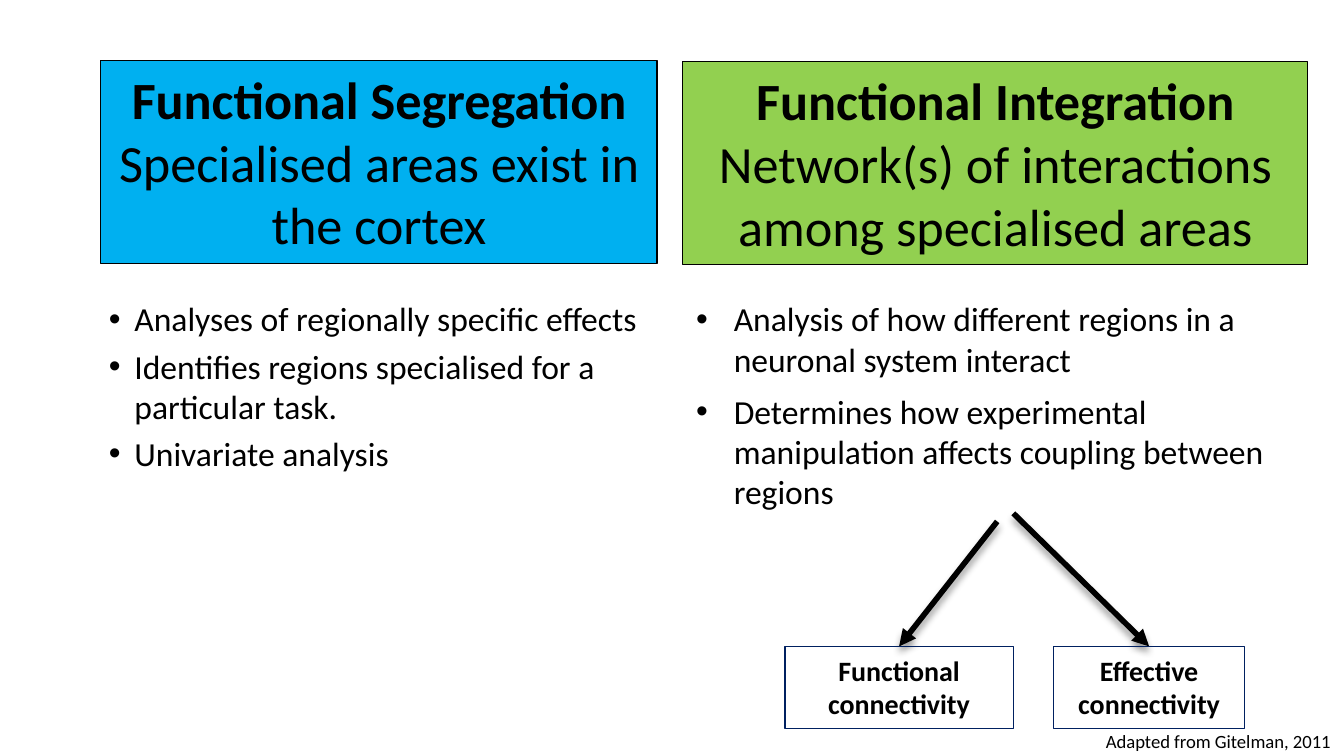
import pptx
import pptx.dml.color
import pptx.enum.shapes
import pptx.enum.text
import pptx.oxml
import pptx.oxml.ns
import pptx.util
from lxml import etree

RGBColor = pptx.dml.color.RGBColor
BLACK = RGBColor(0x00, 0x00, 0x00)
SKY = RGBColor(0x00, 0xB0, 0xF0)
GREEN = RGBColor(0x92, 0xD0, 0x50)
NAVY = RGBColor(0x00, 0x20, 0x60)

WIDTH = 10
HEIGHT = WIDTH * 9 / 16
LEFT_COLUMN, RIGHT_COLUMN = 0.75, 5.08
BULLET_ROW, OUTCOME_ROW = 2.18, 4.81
CENTER = pptx.enum.text.PP_ALIGN.CENTER

SHADOW = (
    '<a:effectLst %s><a:outerShdw blurRad="50800" dist="38100" dir="5400000" '
    'rotWithShape="0"><a:srgbClr val="000000"><a:alpha val="40000"/></a:srgbClr>'
    '</a:outerShdw></a:effectLst>' % pptx.oxml.ns.nsdecls("a"))


def inches(*lengths):
    return [pptx.util.Inches(length) for length in lengths]


def apply_format(target, values):
    for name, value in values.items():
        setattr(target, name, value)


def set_font(holder, size, bold=False):
    apply_format(holder.font, {"name": "Calibri", "size": pptx.util.Pt(size),
                               "bold": bold})
    holder.font.color.rgb = BLACK


def add_box(slide, place, lines, size, outline, fill=None):
    """Outlined rectangle; the first of its lines is bold."""
    box = slide.shapes.add_shape(
        pptx.enum.shapes.MSO_SHAPE.RECTANGLE, *inches(*place))
    box.shadow.inherit = False
    if fill is None:
        box.fill.background()
    else:
        box.fill.solid()
        box.fill.fore_color.rgb = fill
    box.line.color.rgb = outline
    box.line.width = pptx.util.Pt(0.75)
    frame = box.text_frame
    apply_format(frame, {"word_wrap": True,
                         "vertical_anchor": pptx.enum.text.MSO_ANCHOR.TOP})
    for index, line in enumerate(lines):
        paragraph = frame.paragraphs[0] if index == 0 else frame.add_paragraph()
        paragraph.alignment = CENTER
        run = paragraph.add_run()
        run.text = line
        set_font(run, size, bold=index == 0)


def add_bullets(slide, place, points, indent, gap):
    frame = slide.shapes.add_textbox(*inches(*place)).text_frame
    side, edge = inches(0.07, 0.04)
    apply_format(frame, {"word_wrap": True, "margin_left": side,
                         "margin_right": side, "margin_top": edge,
                         "margin_bottom": edge})
    hang = pptx.util.Inches(indent)
    for index, point in enumerate(points):
        paragraph = frame.paragraphs[0] if index == 0 else frame.add_paragraph()
        properties = paragraph._p.get_or_add_pPr()
        properties.set("marL", str(hang))
        properties.set("indent", str(-hang))
        for tag, key, value in (("a:buFont", "typeface", "Arial"),
                                ("a:buChar", "char", "•")):
            etree.SubElement(properties, pptx.oxml.ns.qn(tag)).set(key, value)
        if index:
            paragraph.space_before = pptx.util.Pt(gap)
        run = paragraph.add_run()
        run.text = point
        set_font(run, 18)


def add_arrow(slide, start, end):
    arrow = slide.shapes.add_connector(
        pptx.enum.shapes.MSO_CONNECTOR.STRAIGHT, *inches(*start, *end))
    arrow.line.color.rgb = BLACK
    arrow.line.width = pptx.util.Pt(3)
    outline = arrow.line._get_or_add_ln()
    etree.SubElement(outline, pptx.oxml.ns.qn("a:tailEnd")).set("type", "triangle")
    arrow._element.spPr.append(pptx.oxml.parse_xml(SHADOW))


def add_credit(slide, place, text):
    frame = slide.shapes.add_textbox(*inches(*place)).text_frame
    frame.word_wrap = False
    run = frame.paragraphs[0].add_run()
    run.text = text
    set_font(run, 10)


def main():
    deck = pptx.Presentation()
    deck.slide_width, deck.slide_height = inches(WIDTH, HEIGHT)
    slide = deck.slides.add_slide(deck.slide_layouts[6])

    # Findings under each heading
    add_bullets(slide, (RIGHT_COLUMN + 0.03, BULLET_ROW, 4.61, 1.69), [
        "Analysis of how different regions in a neuronal system interact",
        "Determines how experimental manipulation affects coupling between regions",
    ], indent=0.28, gap=6.3)
    add_bullets(slide, (LEFT_COLUMN - 0.01, BULLET_ROW, 4.14, 1.41), [
        "Analyses of regionally specific effects",
        "Identifies regions specialised for a particular task.",
        "Univariate analysis",
    ], indent=0.19, gap=3.6)

    add_credit(slide, (8.13, 5.38, 1.9, 0.27), "Adapted from Gitelman, 2011")

    # The two headings
    for left, top, width, fill, title, meaning in (
            (LEFT_COLUMN, 0.45, 4.14, SKY, "Functional Segregation",
             "Specialised areas exist in the cortex"),
            (RIGHT_COLUMN, 0.46, 4.65, GREEN, "Functional Integration",
             "Network(s) of interactions among specialised areas")):
        add_box(slide, (left, top, width, 1.51), [title, meaning], 28, BLACK, fill)

    # Integration splits into two kinds of connectivity
    for start, left, width, kind in (
            ((7.42, 3.88), 5.84, 1.7, "Functional connectivity"),
            ((7.54, 3.82), 7.84, 1.42, "Effective connectivity")):
        add_arrow(slide, start, (left + width / 2, OUTCOME_ROW))
        add_box(slide, (left, OUTCOME_ROW, width, 0.61), [kind], 15, NAVY)

    deck.save("out.pptx")


if __name__ == "__main__":
    main()
